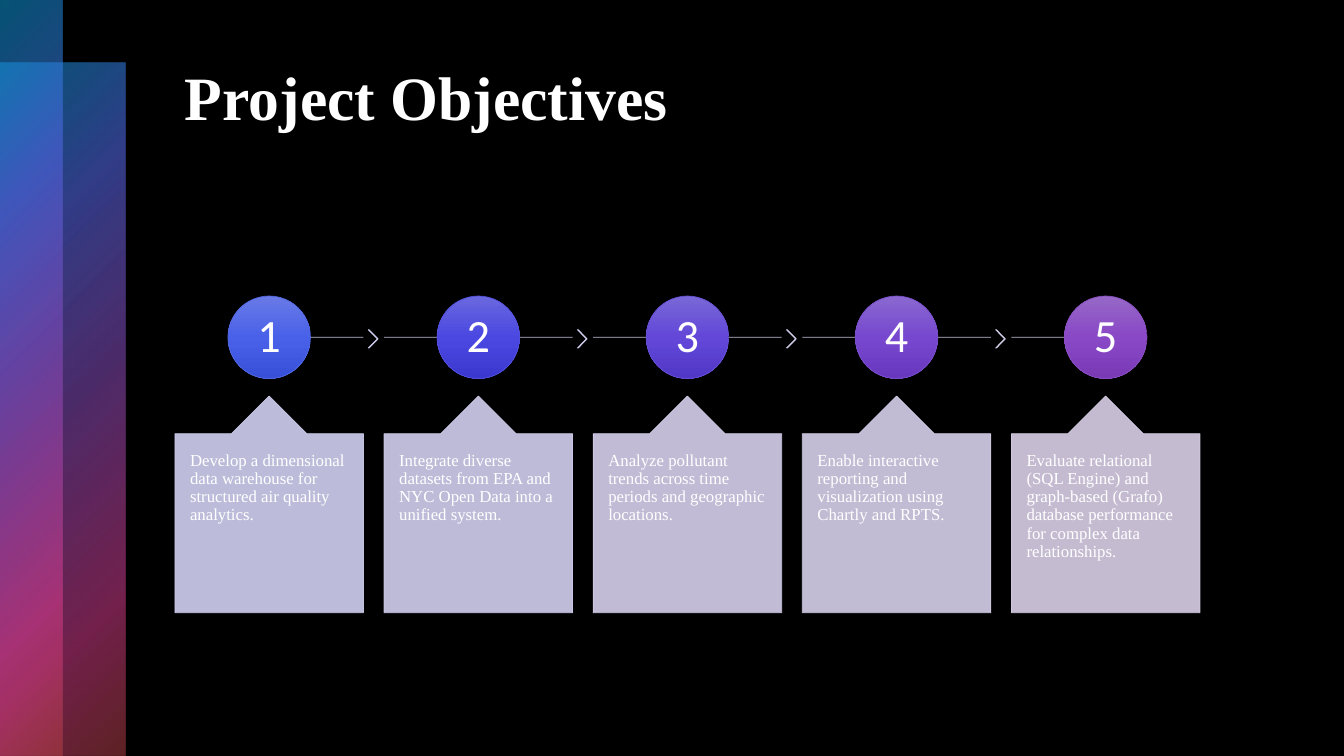
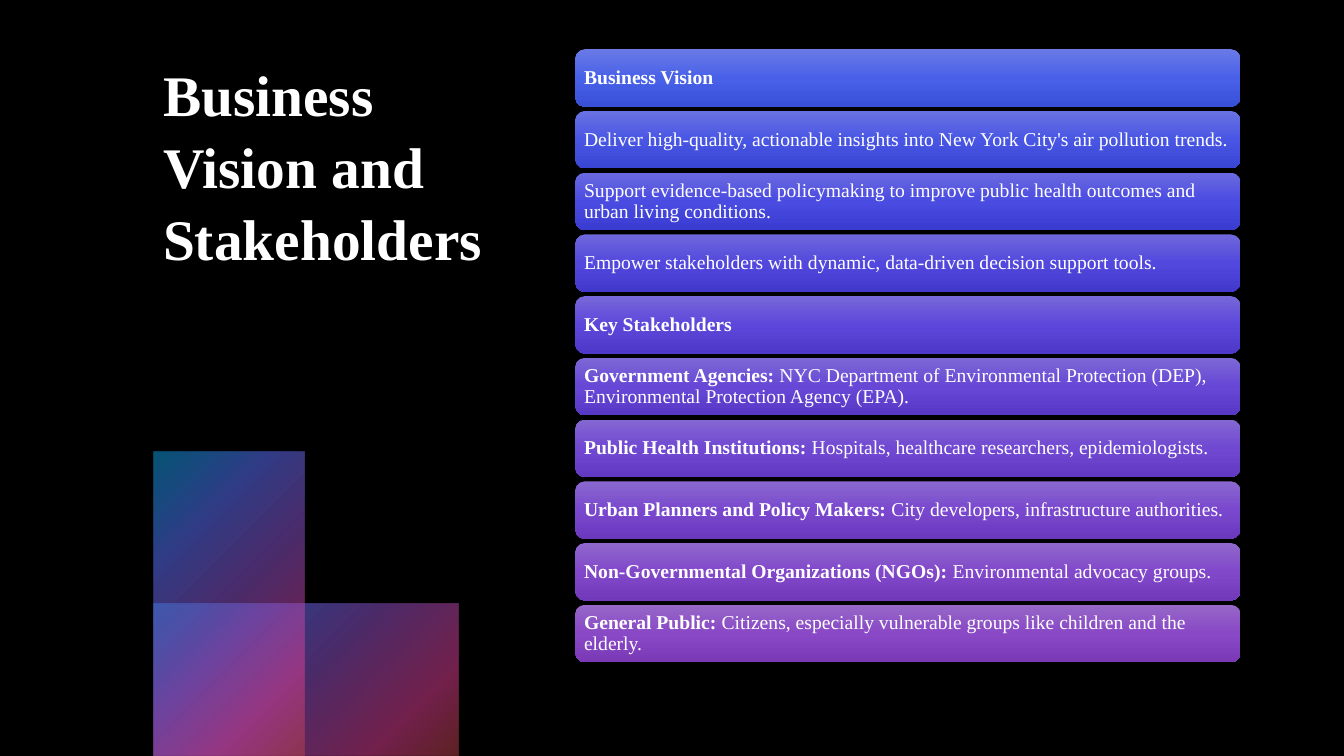
from lxml import etree
from pptx import Presentation
from pptx.dml.color import RGBColor
from pptx.enum.shapes import MSO_CONNECTOR, MSO_SHAPE
from pptx.enum.text import MSO_ANCHOR, MSO_AUTO_SIZE, PP_ALIGN
from pptx.oxml import parse_xml
from pptx.oxml.ns import nsdecls, qn
from pptx.util import Cm, Pt

RECT, OVAL = MSO_SHAPE.RECTANGLE, MSO_SHAPE.OVAL
ROUND, CHEVRON = MSO_SHAPE.ROUNDED_RECTANGLE, MSO_SHAPE.CHEVRON
CALLOUT = MSO_SHAPE.UP_ARROW_CALLOUT
STRAIGHT = MSO_CONNECTOR.STRAIGHT
TOP, MIDDLE = MSO_ANCHOR.TOP, MSO_ANCHOR.MIDDLE
LEFT, CENTER = PP_ALIGN.LEFT, PP_ALIGN.CENTER
NO_FIT = MSO_AUTO_SIZE.NONE

SERIF, SANS = "Times New Roman", "Calibri"
COLORS = {"back": "000000", "text": "FFFFFF"}
# Colour ramps, read from the first to the last item of a row
RAMPS = {
    "light": ["697AE6", "6A68DF", "7968D7", "8968D0", "9668C7"],
    "mid": ["4961E8", "4A48E0", "6247D8", "7748CF", "8948C6"],
    "dark": ["3850D7", "3A38CF", "5238C7", "6839BF", "7A3AB6"],
    "edge": ["5066E1", "514FDA", "664ED2", "794EC9", "894EC0"],
    "pale": ["D0D3F4", "D2D0F1", "D5D0EE", "D7D0EC", "DAD0E8"],
}
# Band stops: place, colour, opacity
BAND = [(0, "0BA5E8", 50), (25, "5066E1", 60), (50, "894EC0", 55),
        (81, "E54196", 50), (99, "BE4449", 50)]
GLOW = '<a:path path="circle"><a:fillToRect r="100000" b="100000"/></a:path>'
DOWN = '<a:lin ang="5400000" scaled="0"/>'


def shade(name, pos):
    """Colour at pos (0 to 1) along a ramp."""
    ramp = RAMPS[name]
    spot = pos * (len(ramp) - 1)
    low = min(int(spot), len(ramp) - 2)
    pairs = zip(bytes.fromhex(ramp[low]), bytes.fromhex(ramp[low + 1]))
    return "".join(f"{round(a + (b - a) * (spot - low)):02X}" for a, b in pairs)


class Deck:
    def __init__(self):
        self.prs = Presentation()
        self.prs.slide_width, self.prs.slide_height = Cm(33.87), Cm(19.05)
        fill = self.prs.slide_master.background.fill
        fill.solid()
        fill.fore_color.rgb = RGBColor.from_string(COLORS["back"])
        self.slide = None

    def page(self, title, size, box, bands):
        """Start a slide with its title and gradient bands."""
        self.slide = self.prs.slides.add_slide(self.prs.slide_layouts[5])
        head = self.slide.shapes.title
        head.left, head.top, head.width, head.height = map(Cm, box)
        self.text(head, [(title, True)], size, gap=1.05)
        for band in bands:
            self.grade(self.shape(RECT, band), BAND, GLOW)

    def shape(self, kind, box, adjust=()):
        item = self.slide.shapes.add_shape(kind, *map(Cm, box))
        item.shadow.inherit = False
        item.line.fill.background()
        for i, value in enumerate(adjust):
            item.adjustments[i] = value
        return item

    def grade(self, item, stops, way):
        """Fill a shape with a gradient."""
        parts = "".join(
            f'<a:gs pos="{at * 1000}"><a:srgbClr val="{color}">'
            f'<a:alpha val="{alpha * 1000}"/></a:srgbClr></a:gs>'
            for at, color, alpha in stops)
        item.fill.background()
        props = item.element.spPr
        props.replace(props.find(qn("a:noFill")), parse_xml(
            f'<a:gradFill {nsdecls("a")} rotWithShape="1">'
            f'<a:gsLst>{parts}</a:gsLst>{way}</a:gradFill>'))

    def gloss(self, item, pos):
        tones = ("light", "mid", "dark")
        self.grade(item, [(i * 50, shade(tone, pos), 100)
                          for i, tone in enumerate(tones)], DOWN)

    def edge(self, item, color):
        item.line.color.rgb = RGBColor.from_string(color)
        item.line.width = Pt(0.5)

    def fade(self, item):
        for color in item.element.spPr.iter(qn("a:srgbClr")):
            etree.SubElement(color, qn("a:alpha")).set("val", "90000")

    def tint(self, kind, box, adjust, color):
        """Add a pale, slightly clear shape."""
        item = self.shape(kind, box, adjust)
        item.fill.solid()
        item.fill.fore_color.rgb = RGBColor.from_string(color)
        self.edge(item, color)
        self.fade(item)
        return item

    def rule(self, start, end, y, color):
        item = self.slide.shapes.add_connector(
            STRAIGHT, Cm(start), Cm(y), Cm(end), Cm(y))
        self.edge(item, color)
        self.fade(item)
        etree.SubElement(item.element.spPr, qn("a:effectLst"))

    def text(self, item, runs, size, font=SERIF, align=LEFT, anchor=TOP,
             pad=(0.25, 0.13), gap=0.9):
        frame = item.text_frame
        frame.word_wrap, frame.auto_size = True, NO_FIT
        frame.vertical_anchor = anchor
        frame.margin_left = frame.margin_right = Cm(pad[0])
        frame.margin_top = frame.margin_bottom = Cm(pad[1])
        para = frame.paragraphs[0]
        para.alignment, para.line_spacing = align, gap
        for words, bold in runs:
            run = para.add_run()
            run.text = words
            run.font.name, run.font.size, run.font.bold = font, Pt(size), bold
            run.font.color.rgb = RGBColor.from_string(COLORS["text"])


GOALS = [
    "Develop a dimensional data warehouse for structured air quality analytics.",
    "Integrate diverse datasets from EPA and NYC Open Data into a unified system.",
    "Analyze pollutant trends across time periods and geographic locations.",
    "Enable interactive reporting and visualization using Chartly and RPTS.",
    "Evaluate relational (SQL Engine) and graph-based (Grafo) database "
    "performance for complex data relationships.",
]
# Bold lead and plain rest of each bar
BARS = [
    ("Business Vision", ""),
    ("", "Deliver high-quality, actionable insights into New York City's "
         "air pollution trends."),
    ("", "Support evidence-based policymaking to improve public health "
         "outcomes and urban living conditions."),
    ("", "Empower stakeholders with dynamic, data-driven decision support tools."),
    ("Key Stakeholders", ""),
    ("Government Agencies:", " NYC Department of Environmental Protection "
                             "(DEP), Environmental Protection Agency (EPA)."),
    ("Public Health Institutions:",
     " Hospitals, healthcare researchers, epidemiologists."),
    ("Urban Planners and Policy Makers:",
     " City developers, infrastructure authorities."),
    ("Non-Governmental Organizations (NGOs):", " Environmental advocacy groups."),
    ("General Public:", " Citizens, especially vulnerable groups like "
                        "children and the elderly."),
]


def goals(deck):
    deck.page("Project Objectives", 44, (4.41, 1.27, 26.34, 4.32),
              [(0, 1.57, 3.16, 17.48), (0, 0, 1.58, 19.05)])
    wide, step, ball, axis = 4.75, 5.27, 2.08, 8.5
    last = len(GOALS) - 1
    for i, goal in enumerate(GOALS):
        x, pos = 4.41 + i * step, i / last
        mid = x + wide / 2
        # Pale tones run on through line, chevron and card
        tones = [shade("pale", (3 * i + k) / (3 * last + 2)) for k in range(3)]
        deck.rule(x if i else mid, x + wide if i < last else mid, axis, tones[0])
        if i < last:
            deck.tint(CHEVRON, (x + 4.87, 8.31, 0.25, 0.46), [0.9], tones[1])
        # Numbered ball
        disc = deck.shape(OVAL, (mid - ball / 2, axis - ball / 2, ball, ball))
        deck.gloss(disc, pos)
        deck.edge(disc, shade("edge", pos))
        deck.text(disc, [(str(i + 1), False)], 33, SANS, CENTER, MIDDLE,
                  (0.08, 0.08))
        # Card
        card = deck.tint(CALLOUT, (x, 9.98, wide, 5.46), [0.5, 0.2, 0.2, 1],
                         tones[2])
        deck.text(card, [(goal, False)], 12, pad=(0.38, 0.46))


def vision(deck):
    deck.page("Business Vision and Stakeholders", 41, (3.86, 1.27, 8.84, 9.42),
              [(3.86, 15.2, 7.7, 3.85), (3.86, 11.37, 3.82, 7.68)])
    last = len(BARS) - 1
    for i, (lead, rest) in enumerate(BARS):
        bar = deck.shape(ROUND, (14.5, 1.24 + i * 14 / last, 16.76, 1.45))
        deck.gloss(bar, i / last)
        runs = [(words, bold) for words, bold in ((lead, True), (rest, False))
                if words]
        deck.text(bar, runs, 14, anchor=MIDDLE, pad=(0.15, 0.15))


def main():
    deck = Deck()
    goals(deck)
    vision(deck)
    deck.prs.save("out.pptx")


if __name__ == "__main__":
    main()
